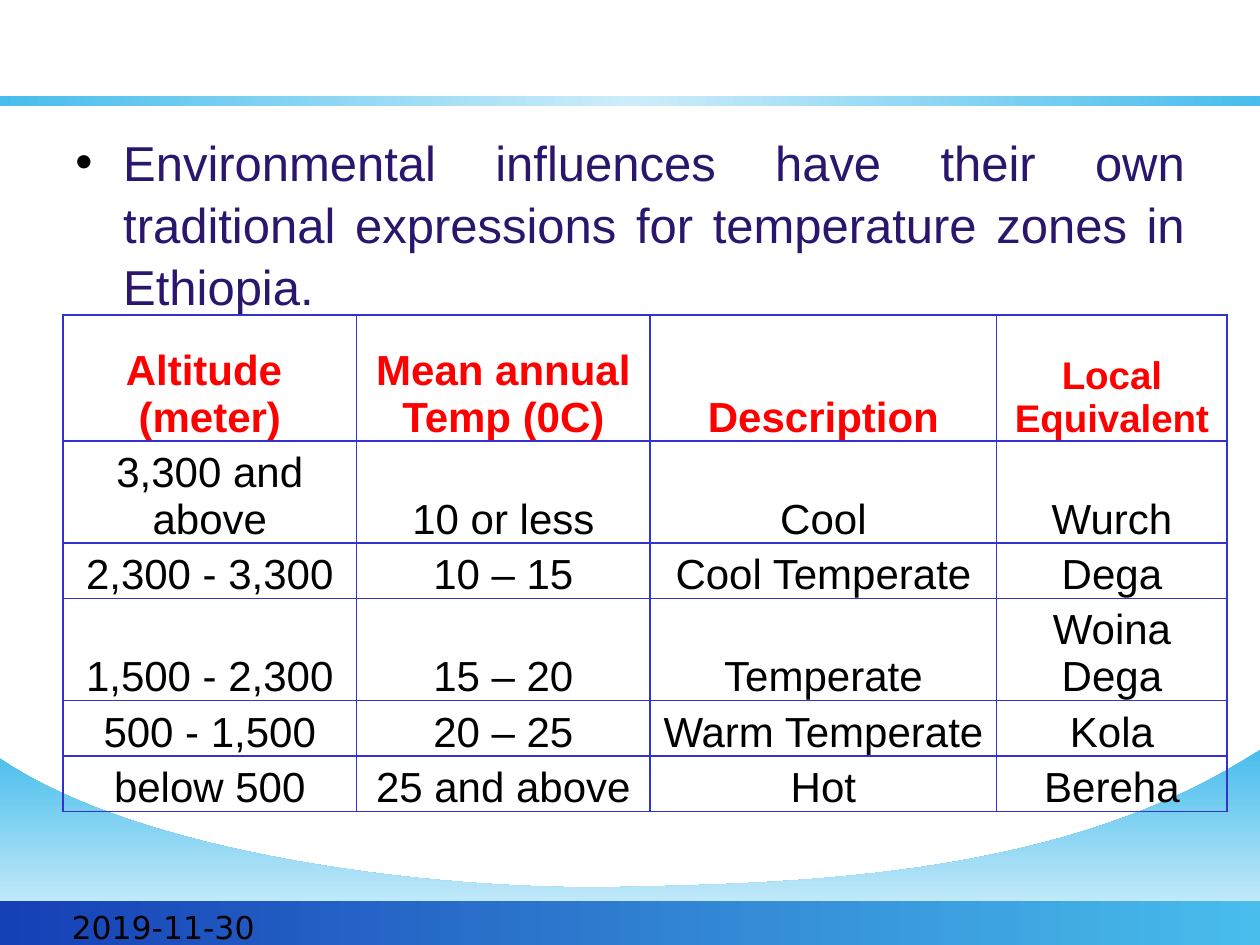
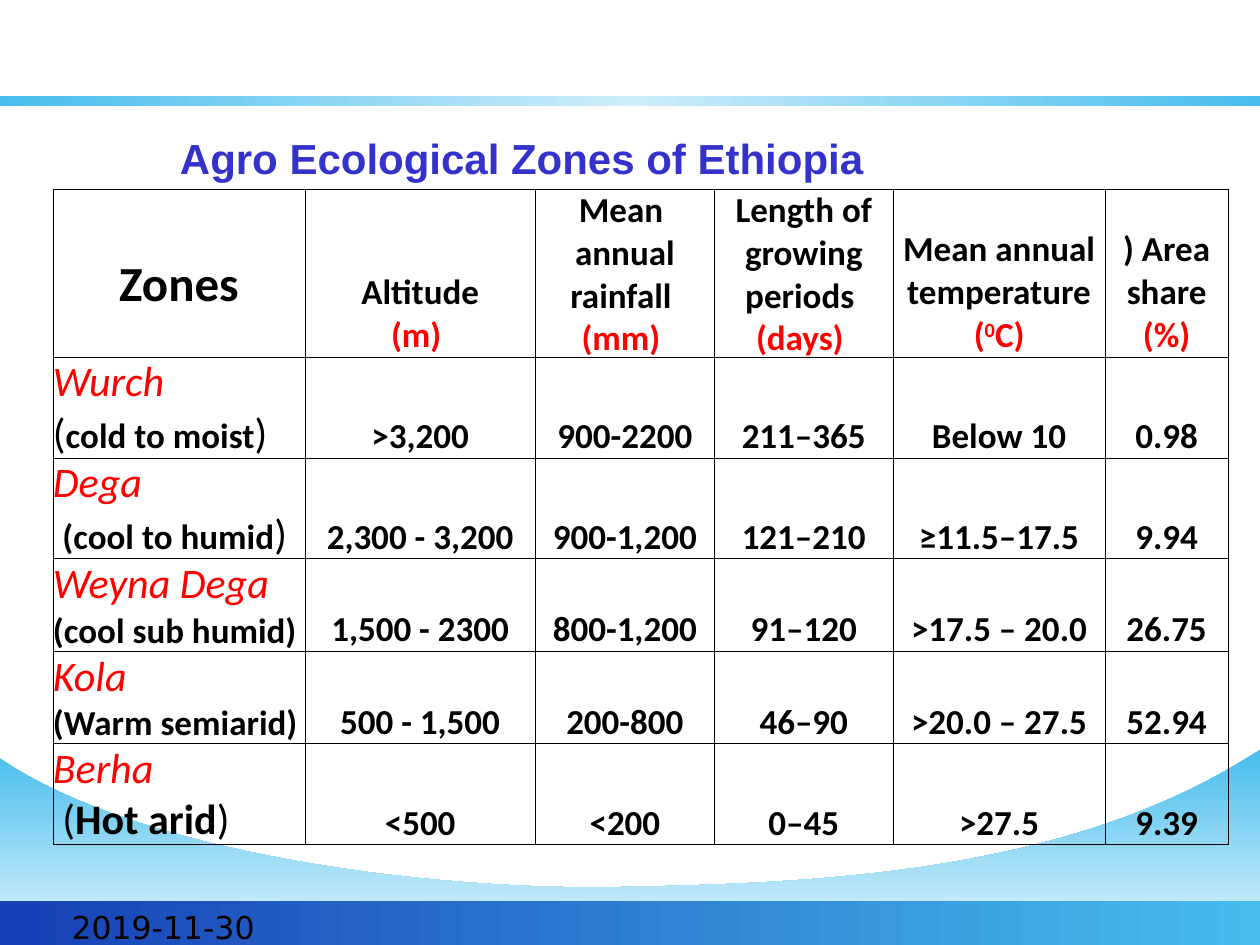
from lxml import etree
from pptx import Presentation
from pptx.dml.color import RGBColor
from pptx.enum.shapes import MSO_SHAPE
from pptx.enum.text import MSO_ANCHOR, PP_ALIGN
from pptx.oxml.ns import qn
from pptx.util import Emu, Pt

RECTANGLE = MSO_SHAPE.RECTANGLE
BOTTOM, TOP = MSO_ANCHOR.BOTTOM, MSO_ANCHOR.TOP
LEFT, CENTER, JUSTIFY = PP_ALIGN.LEFT, PP_ALIGN.CENTER, PP_ALIGN.JUSTIFY

PX = 9144  # 100 px to the inch
BLACK, RED, BLUE, VIOLET = "000000", "FF0000", "3333CC", "2B166E"
SKY, PALE_SKY, MIST, NAVY = "48BDEC", "CDEDFA", "E3F5FC", "1640B6"
DATE = "2019-11-30"


def px(length):
    return Emu(round(length * PX))


def color(hex_string):
    return RGBColor.from_string(hex_string)


def solid_line(parent, tag, hex_string, width):
    line = etree.SubElement(parent, qn(tag), w=str(Pt(width)))
    fill = etree.SubElement(line, qn("a:solidFill"))
    etree.SubElement(fill, qn("a:srgbClr"), val=hex_string)
    return line


def bezier(start, control_1, control_2, end, steps=32):
    """Points along a cubic curve, without its start."""
    for step in range(1, steps + 1):
        t = step / steps
        u = 1 - t
        weights = (u ** 3, 3 * u * u * t, 3 * u * t * t, t ** 3)
        corners = (start, control_1, control_2, end)
        yield tuple(px(sum(w * corner[axis] for w, corner in zip(weights, corners)))
                    for axis in (0, 1))


def add_run(paragraph, text, font="Arial", size=24, hex_string=BLACK,
            bold=False, italic=False, baseline=0):
    run = paragraph.add_run()
    run.text = text
    run.font.name, run.font.size = font, Pt(size)
    run.font.bold, run.font.italic = bold, italic
    run.font.color.rgb = color(hex_string)
    if baseline:
        run._r.get_or_add_rPr().set("baseline", str(baseline * 1000))


def write(frame, text, align=LEFT, **style):
    """Text is a string or a list of paragraphs; a paragraph is a string
    or a list of (text, changes to the style)."""
    paragraphs = [text] if isinstance(text, str) else text
    for index, runs in enumerate(paragraphs):
        paragraph = frame.add_paragraph() if index else frame.paragraphs[0]
        paragraph.alignment = align
        if isinstance(runs, str):
            runs = [(runs, {})]
        for words, changes in runs:
            add_run(paragraph, words, **{**style, **changes})


class Deck:
    def __init__(self):
        self.presentation = Presentation()
        self.presentation.slide_width = px(1000)
        self.presentation.slide_height = px(750)
        self.slide = None

    def new_slide(self):
        layout = self.presentation.slide_layouts[6]
        self.slide = self.presentation.slides.add_slide(layout)
        self.wave()
        self.band(715, 36, [SKY, NAVY])
        self.band(76, 8, [SKY, PALE_SKY, SKY])

    def gradient(self, shape, colors, angle):
        shape.shadow.inherit = False
        shape.line.fill.background()
        shape.fill.gradient()
        shape.fill.gradient_angle = angle
        stops = next(shape.element.spPr.iter(qn("a:gsLst")))
        stops[:] = []
        for index, hex_string in enumerate(colors):
            position = index * 100000 // (len(colors) - 1)
            stop = etree.SubElement(stops, qn("a:gs"), pos=str(position))
            etree.SubElement(stop, qn("a:srgbClr"), val=hex_string)

    def band(self, top, height, colors):
        shape = self.slide.shapes.add_shape(
            RECTANGLE, 0, px(top), px(1000), px(height))
        self.gradient(shape, colors, 180)

    def wave(self):
        right, middle, left = (1000, 595), (492, 704), (0, 602)
        builder = self.slide.shapes.build_freeform(px(1000), px(749), scale=1.0)
        points = [(px(right[0]), px(right[1]))]
        points += bezier(right, (849, 695), (642, 701), middle)
        points += bezier(middle, (342, 707), (111, 678), left)
        points.append((0, px(750)))
        builder.add_line_segments(points, close=True)
        self.gradient(builder.convert_to_shape(), [SKY, MIST], 270)

    def text(self, left, top, width, height, text, **style):
        box = self.slide.shapes.add_textbox(
            px(left), px(top), px(width), px(height))
        frame = box.text_frame
        frame.word_wrap = True
        frame.vertical_anchor = TOP
        write(frame, text, **style)
        return frame

    def bullet(self, left, top, width, height, text, **style):
        frame = self.text(left, top, width, height, text, align=JUSTIFY, **style)
        paragraph = frame.paragraphs[0]
        paragraph.space_before = Pt(7)
        paragraph.line_spacing = 1.05
        properties = paragraph._p.get_or_add_pPr()
        properties.set("marL", str(px(38)))
        properties.set("indent", str(px(-38)))
        bullet_color = etree.SubElement(properties, qn("a:buClr"))
        etree.SubElement(bullet_color, qn("a:srgbClr"), val=BLACK)
        etree.SubElement(properties, qn("a:buFont"), typeface="Arial")
        etree.SubElement(properties, qn("a:buChar"), char="•")

    def table(self, left, top, columns, heights, rows, border, margin, style_of):
        """style_of(row, column) gives the text format of a cell."""
        table = self.slide.shapes.add_table(
            len(heights), len(columns), px(left), px(top),
            px(sum(columns)), px(sum(heights))).table
        table.first_row = table.horz_banding = False
        for column, width in zip(table.columns, columns):
            column.width = px(width)
        for r, (row, height) in enumerate(zip(rows, heights)):
            table.rows[r].height = px(height)
            for c, text in enumerate(row):
                cell = table.cell(r, c)
                cell.margin_left = cell.margin_right = cell.margin_top = px(margin)
                cell.margin_bottom = 0
                cell.vertical_anchor = BOTTOM
                write(cell.text_frame, text, **style_of(r, c))
                properties = cell._tc.get_or_add_tcPr()
                for side in "LRTB":
                    solid_line(properties, "a:ln" + side, *border)
                cell.fill.background()
        return table

    def date(self):
        self.text(47, 716, 233, 35, DATE, font="DejaVu Sans", size=18)


def temperature_style(row, column):
    if row:
        return dict(align=CENTER)
    return dict(align=CENTER, hex_string=RED, bold=True,
                size=22 if column == 3 else 24)


def zone_style(row, column):
    if row and column == 0:
        return dict(font="Calibri", size=24)
    return dict(font="Calibri", size=28 if column == 0 else 20,
                bold=True, align=CENTER)


def unit(text):
    return [(text, dict(hex_string=RED))]


def zone(name, *climate):
    return [[(name, dict(hex_string=RED, italic=True))], list(climate)]


def main():
    deck = Deck()
    plain, strong, small = {}, dict(bold=True), dict(bold=True, size=20)
    red = dict(hex_string=RED)

    # Slide 1: traditional temperature zones
    deck.new_slide()
    deck.bullet(50, 98, 900, 143,
                "Environmental influences have their own traditional "
                "expressions for temperature zones in Ethiopia.",
                size=28, hex_string=VIOLET)
    deck.date()
    temperature_rows = [
        [["Altitude ", "(meter)"], "Mean annual Temp (0C)", "Description",
         "Local Equivalent"],
        ["3,300 and above", "10 or less", "Cool", "Wurch"],
        ["2,300 - 3,300", "10 – 15", "Cool Temperate", "Dega"],
        ["1,500 - 2,300", "15 – 20", "Temperate", "Woina Dega"],
        ["500 - 1,500", "20 – 25", "Warm Temperate", "Kola"],
        ["below 500", "25 and above", "Hot", "Bereha"],
    ]
    deck.table(50, 250, [233, 233, 275, 183], [100, 44, 44, 80, 44, 44],
               temperature_rows, (BLUE, 1), 1, temperature_style)

    # Slide 2: agro ecological zones
    deck.new_slide()
    deck.date()
    deck.text(125, 100, 700, 50, " Agro Ecological Zones of Ethiopia",
              hex_string=BLUE, bold=True)
    zone_rows = [
        ["Zones", ["Altitude", unit("(m) ")],
         ["Mean ", "annual rainfall ", unit("(mm) ")],
         ["Length of growing periods ", unit("(days) ")],
         [[("Mean annual temperature ", plain), ("(", red),
           ("0", dict(red, baseline=30)), ("C)", red)]],
         [[(") Area share ", plain), ("(%)", red)]]],
        [zone("Wurch", ("(", plain), ("cold to moist", small), (")", plain)),
         ">3,200", "900-2200", "211–365", "Below 10", "0.98"],
        [zone("Dega", (" ", plain), ("(cool to humid", small), (")", plain)),
         "2,300 - 3,200", "900-1,200", "121–210", "≥11.5–17.5", "9.94"],
        [zone("Weyna Dega", ("(cool sub humid)", small)),
         "1,500 - 2300", "800-1,200", "91–120", ">17.5 – 20.0", "26.75"],
        [zone("Kola", ("(Warm semiarid)", small)),
         "500 - 1,500", "200-800", "46–90", ">20.0 – 27.5", "52.94"],
        [zone("Berha", (" (", plain), ("Hot arid", strong), (")", plain)),
         "<500", "<200", "0–45", ">27.5", "9.39"],
    ]
    zones = deck.table(42, 150, [200, 183, 142, 142, 168, 98], [125] + [66] * 5,
                       zone_rows, (BLACK, 0.5), 0, zone_style)
    zones.cell(0, 0).margin_bottom = px(34)

    deck.presentation.save("out.pptx")


if __name__ == "__main__":
    main()
